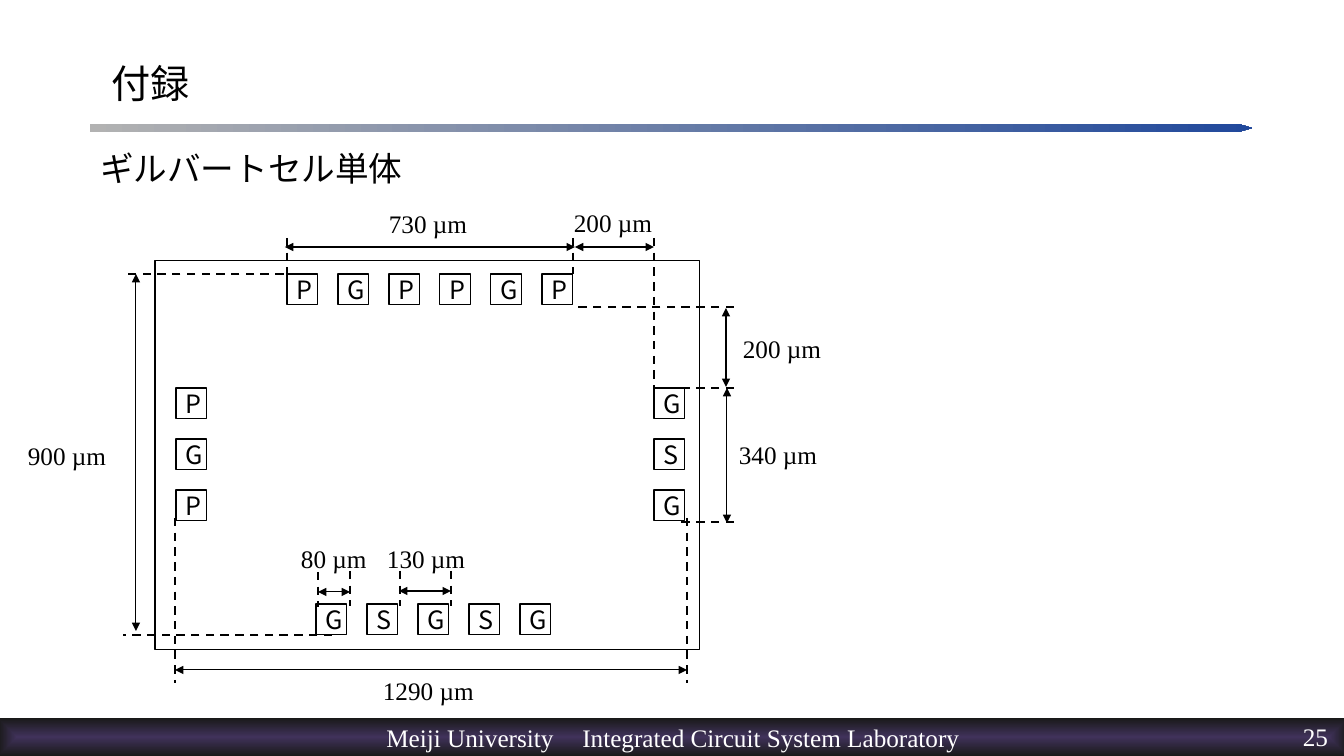
from dataclasses import dataclass

from lxml.etree import SubElement
from pptx import Presentation
from pptx.dml.color import RGBColor
from pptx.enum.dml import MSO_LINE
from pptx.enum.shapes import MSO_CONNECTOR, MSO_SHAPE
from pptx.enum.text import MSO_ANCHOR, MSO_AUTO_SIZE, PP_ALIGN
from pptx.oxml.ns import qn
from pptx.util import Emu, Pt


@dataclass(frozen=True)
class Theme:
    ink: RGBColor = RGBColor(0, 0, 0)
    white: RGBColor = RGBColor(255, 255, 255)
    rule: tuple = ("B2B2B2", "21499C")
    footer: tuple = ("40325A", "191919")
    serif: str = "Times New Roman"
    sans: str = "Noto Sans CJK JP"
    title: int = 28
    heading: int = 24
    label: int = 18
    thin: float = 0.75
    guide: float = 1.5


THEME = Theme()
EMU_PER_PX = 914400 / 100.8


def px(*lengths):
    """Turn whole px lengths into EMU."""
    return [Emu(round(length * EMU_PER_PX)) for length in lengths]


def write(shape, text, size, color=THEME.ink, font=THEME.serif, align=PP_ALIGN.LEFT):
    """Fill a shape with one formatted paragraph."""
    frame = shape.text_frame
    frame.text = text
    frame.word_wrap = True
    frame.auto_size = MSO_AUTO_SIZE.NONE
    paragraph = frame.paragraphs[0]
    paragraph.alignment = align
    paragraph.space_before = Pt(0)
    for run in paragraph.runs:
        run.font.size = Pt(size)
        run.font.color.rgb = color
        run.font.name = font
        SubElement(run.font._element, qn("a:ea"), typeface=THEME.sans)
    return frame


prs = Presentation()
prs.slide_width, prs.slide_height = px(1344, 756)
slide = prs.slides.add_slide(prs.slide_layouts[1])
shapes = slide.shapes

# Title rule and footer band
bands = []
for box, point, colors in [
    ((90, 124, 1162, 8), 1.687, THEME.rule),
    ((-2, 718, 1350, 38), 0, THEME.footer),
]:
    band = shapes.add_shape(MSO_SHAPE.PENTAGON, *px(*box))
    band.adjustments[0] = point
    band.shadow.inherit = False
    band.line.fill.background()
    band.fill.gradient()
    band.fill.gradient_angle = 0
    for stop, color, position in zip(band.fill.gradient_stops, colors, (0, 1)):
        stop.color.rgb = RGBColor.from_string(color)
        stop.position = position
    bands.append(band)
footer = bands[-1]

gradient = footer._element.spPr.find(qn("a:gradFill"))
gradient.remove(gradient.find(qn("a:lin")))
center_path = SubElement(gradient, qn("a:path"), path="shape")
SubElement(center_path, qn("a:fillToRect"), l="50000", t="50000", r="50000", b="50000")

footer_text = write(footer, "Meiji University\tIntegrated Circuit System Laboratory",
                    THEME.label, THEME.white, align=PP_ALIGN.CENTER)
footer_text.word_wrap = False
footer_text.vertical_anchor = MSO_ANCHOR.MIDDLE
tab_stops = SubElement(footer_text.paragraphs[0]._p.get_or_add_pPr(), qn("a:tabLst"))
for stop in px(*range(0, 350, 49)):
    SubElement(tab_stops, qn("a:tab"), pos=str(stop), algn="l")

page_number = shapes.add_textbox(*px(983, 721, 345, 57))
page_text = write(page_number, "25", THEME.label, THEME.white, align=PP_ALIGN.RIGHT)
page_text.margin_left = page_text.margin_right = 0
page_text.margin_top = page_text.margin_bottom = 0

# Title and heading
title = shapes.title
title.left, title.top, title.width, title.height = px(101, 29, 1139, 107)
write(title, "付録", THEME.title).vertical_anchor = MSO_ANCHOR.MIDDLE

heading = slide.placeholders[1]
heading.left, heading.top, heading.width, heading.height = px(90, 143, 1150, 527)
heading_text = write(heading, "ギルバートセル単体", THEME.heading)
heading_props = heading_text.paragraphs[0]._p.get_or_add_pPr()
heading_props.set("marL", "0")
heading_props.set("indent", "0")
SubElement(heading_props, qn("a:buNone"))

# Chip outline and pads
PAD, PITCH = 31, 51
rectangles = [("", (155, 260, 545, 390))]
for letters, left, top, step_x, step_y in [
    ("PGPPGP", 287, 274, PITCH, 0),
    ("PGP", 176, 388, 0, PITCH),
    ("GSG", 654, 388, 0, PITCH),
    ("GSGSG", 316, 604, PITCH, 0),
]:
    for i, letter in enumerate(letters):
        rectangles.append((letter, (left + i * step_x, top + i * step_y, PAD, PAD)))

for letter, box in rectangles:
    outline = shapes.add_shape(MSO_SHAPE.RECTANGLE, *px(*box))
    outline.shadow.inherit = False
    outline.fill.background()
    outline.line.color.rgb = THEME.ink
    outline.line.width = Pt(THEME.thin)
    if letter:
        pad_text = write(outline, letter, THEME.label, font=THEME.sans, align=PP_ALIGN.CENTER)
        pad_text.vertical_anchor = MSO_ANCHOR.MIDDLE

# Dimensions: label, label box (left, top, width), arrow ends
dimensions = [
    ("730 µm", (379, 203, 103), (285, 247, 575, 247)),
    ("200 µm", (564, 202, 100), (575, 247, 654, 247)),
    ("200 µm", (733, 328, 99), (726, 387, 726, 308)),
    ("340 µm", (729, 434, 107), (727, 523, 727, 388)),
    ("80 µm", (291, 538, 99), (318, 592, 350, 592)),
    ("130 µm", (377, 538, 101), (399, 591, 451, 591)),
    ("900 µm", (18, 435, 105), (136, 631, 136, 274)),
    ("1290 µm", (373, 670, 122), (175, 670, 687, 670)),
]
for label, box, _ in dimensions:
    write(shapes.add_textbox(*px(*box, 40)), label, THEME.label)

vertical_guides = [
    (287, 238, 274), (573, 238, 274), (654, 238, 388),
    (318, 572, 607), (350, 571, 606), (400, 571, 606), (451, 571, 606),
    (175, 518, 683), (687, 518, 683),
]
horizontal_guides = [
    (274, 313, 123), (635, 332, 123),
    (307, 734, 573), (388, 734, 678), (522, 734, 678),
]
lines = [(ends, True) for _, _, ends in dimensions]
lines += [((x, start, x, end), False) for x, start, end in vertical_guides]
lines += [((start, y, end, y), False) for y, start, end in horizontal_guides]

for ends, is_arrow in lines:
    connector = shapes.add_connector(MSO_CONNECTOR.STRAIGHT, *px(*ends))
    connector.line.color.rgb = THEME.ink
    connector.line.width = Pt(THEME.thin if is_arrow else THEME.guide)
    if is_arrow:
        for end in ("a:headEnd", "a:tailEnd"):
            SubElement(connector.line._get_or_add_ln(), qn(end), type="triangle")
    else:
        connector.line.dash_style = MSO_LINE.DASH
    SubElement(connector._element.spPr, qn("a:effectLst"))

prs.save("out.pptx")
